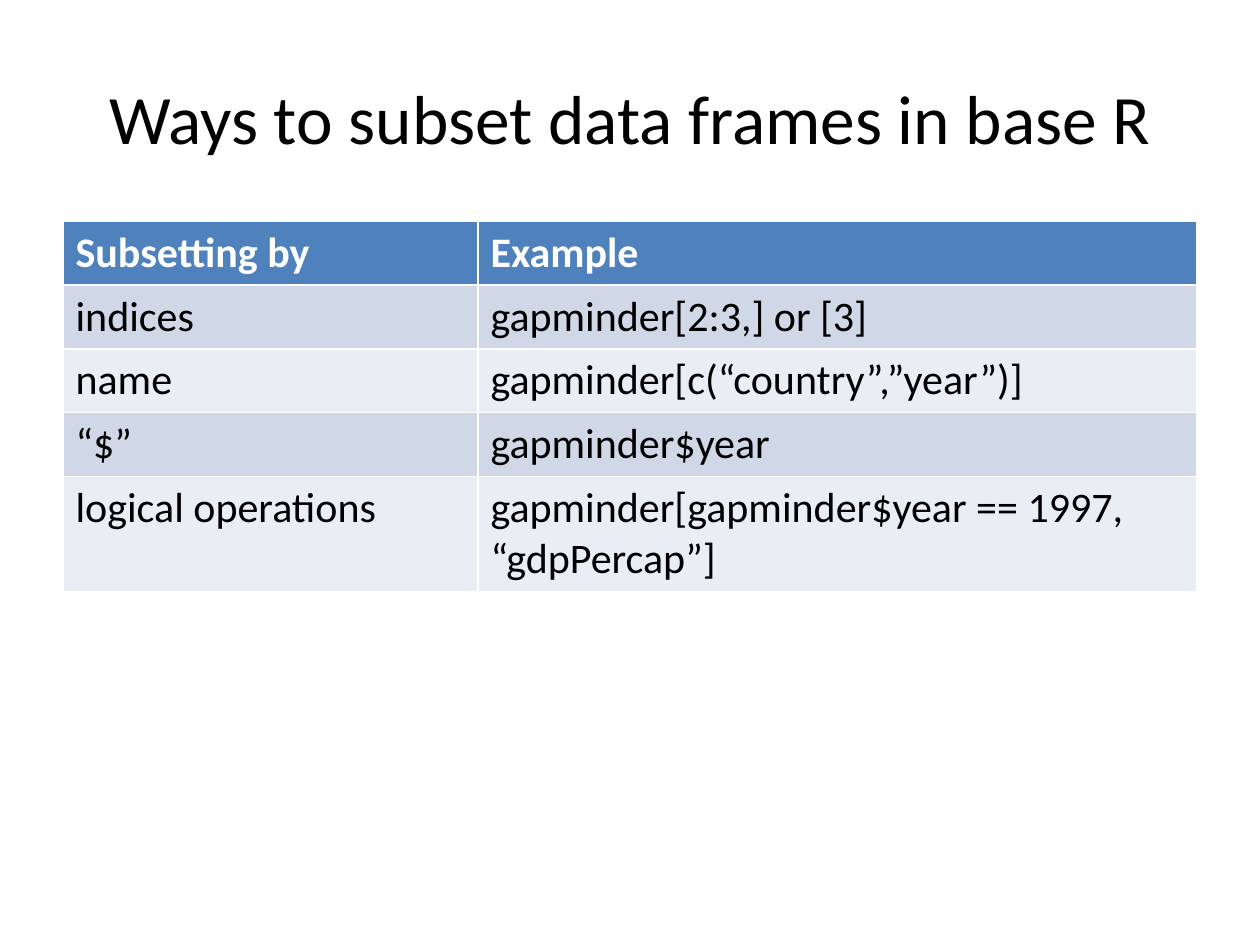
from pptx import Presentation
from pptx.dml.color import RGBColor
from pptx.enum.text import MSO_ANCHOR, PP_ALIGN
from pptx.util import Inches, Pt

TITLE = "Ways to subset data frames in base R"
ROWS = [
    ("Subsetting by", "Example"),
    ("indices", "gapminder[2:3,] or [3]"),
    ("name", "gapminder[c(“country”,”year”)]"),
    ("“$”", "gapminder$year"),
    ("logical operations", "gapminder[gapminder$year == 1997, “gdpPercap”]"),
]
COL_WIDTHS = (415, 719)
ROW_HEIGHT = 52
LEFT, WIDTH = 63, sum(COL_WIDTHS)
TITLE_BOX = (LEFT, 38, WIDTH, 158)
TABLE_BOX = (LEFT, 221, WIDTH, ROW_HEIGHT * len(ROWS))
HEADER_FILL, BAND_FILLS = "4F81BD", ("D0D8E8", "E9EDF4")
TITLE_FONT = {"name": "Calibri", "size": Pt(39.6)}
HEADER_FONT = {"name": "Calibri", "size": Pt(24), "bold": True}
BODY_FONT = {**HEADER_FONT, "bold": False}


def px(n):
    return round(n * Inches(1) / 126)


def rgb(value):
    return RGBColor.from_string(value)


def set_text(tf, text, font, color):
    p = tf.paragraphs[0]
    r = p.add_run()
    r.text = text
    for name, value in font.items():
        setattr(r.font, name, value)
    r.font.color.rgb = rgb(color)
    return p


prs = Presentation()
prs.slide_width, prs.slide_height = Inches(10), Inches(7.5)
s = prs.slides.add_slide(prs.slide_layouts[5])

title = s.shapes.title
title.left, title.top, title.width, title.height = map(px, TITLE_BOX)
title.text_frame.vertical_anchor = MSO_ANCHOR.MIDDLE
set_text(title.text_frame, TITLE, TITLE_FONT, "000000").alignment = PP_ALIGN.CENTER

# The default table style supplies the white cell borders.
table = s.shapes.add_table(len(ROWS), len(COL_WIDTHS), *map(px, TABLE_BOX)).table
for column, width in zip(table.columns, COL_WIDTHS):
    column.width = px(width)
for i, row in enumerate(ROWS):
    table.rows[i].height = px(ROW_HEIGHT)
    if i == 0:
        fill, font, color = HEADER_FILL, HEADER_FONT, "FFFFFF"
    else:
        fill, font, color = BAND_FILLS[(i - 1) % 2], BODY_FONT, "000000"
    for j, text in enumerate(row):
        cell = table.cell(i, j)
        cell.fill.solid()
        cell.fill.fore_color.rgb = rgb(fill)
        set_text(cell.text_frame, text, font, color)

prs.save("out.pptx")
